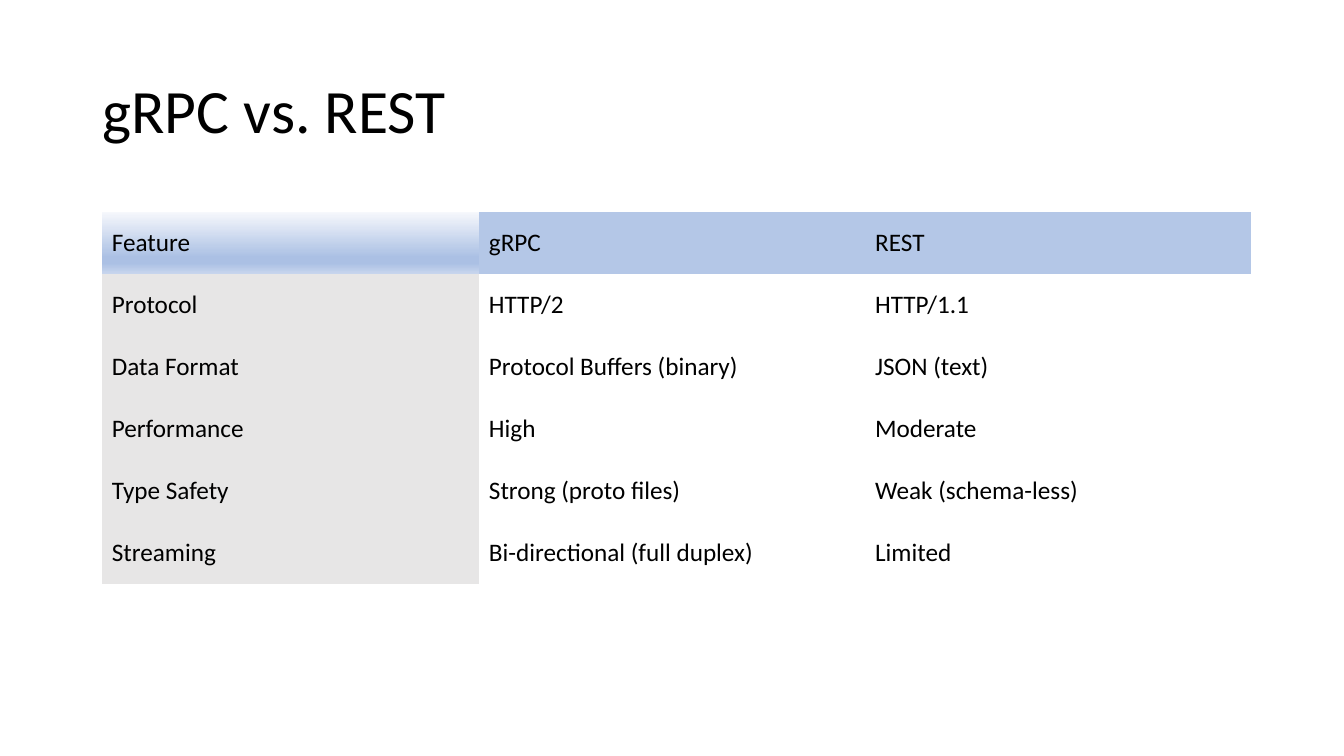
import pptx
import pptx.dml.color
import pptx.enum.text
import pptx.oxml.ns
import pptx.util
from dataclasses import dataclass
from lxml import etree

Inches = pptx.util.Inches
MIDDLE = pptx.enum.text.MSO_ANCHOR.MIDDLE


@dataclass(frozen=True)
class Theme:
    font: str = "Calibri"
    ink: str = "000000"
    head: str = "B4C7E7"
    side: str = "E7E6E6"
    fade: tuple = ((0, "F6F8FC"), (74, "ABC0E4"), (83, "ABC0E4"), (100, "C7D5ED"))
    title: int = 44
    body: int = 18


theme = Theme()


def style(frame, size):
    for par in frame.paragraphs:
        for run in par.runs:
            run.font.name = theme.font
            run.font.size = pptx.util.Pt(size)
            run.font.bold = False
            run.font.color.rgb = pptx.dml.color.RGBColor.from_string(theme.ink)


def add(parent, tag, **attrs):
    return etree.SubElement(parent, pptx.oxml.ns.qn(tag), **attrs)


# Slide
deck = pptx.Presentation()
deck.slide_width = Inches(13.33)
deck.slide_height = Inches(7.5)
slide = deck.slides.add_slide(deck.slide_layouts[6])

# Title
title = slide.shapes.add_textbox(Inches(0.92), Inches(0.4), Inches(11.5), Inches(1.45))
frame = title.text_frame
frame.word_wrap = True
frame.vertical_anchor = MIDDLE
frame.text = "gRPC vs. REST"
frame.paragraphs[0].line_spacing = 0.9
style(frame, theme.title)

# Table without banding or grid
rows = [
    ("Feature", "gRPC", "REST"),
    ("Protocol", "HTTP/2", "HTTP/1.1"),
    ("Data Format", "Protocol Buffers (binary)", "JSON (text)"),
    ("Performance", "High", "Moderate"),
    ("Type Safety", "Strong (proto files)", "Weak (schema-less)"),
    ("Streaming", "Bi-directional (full duplex)", "Limited"),
]
widths = (3.74, 3.83, 3.83)
shape = slide.shapes.add_table(
    len(rows), len(widths), Inches(1.01), Inches(2.1), Inches(sum(widths)), Inches(3.69)
)
table = shape.table
table.first_row = False
table.horz_banding = False
grid = shape.element.find(".//" + pptx.oxml.ns.qn("a:tableStyleId"))
grid.text = "{2D5ABB26-0587-4C30-8999-92F81FD0307C}"
for col, width in zip(table.columns, widths):
    col.width = Inches(width)

# Cells
for r, row in enumerate(rows):
    for c, text in enumerate(row):
        cell = table.cell(r, c)
        cell.text_frame.text = text
        cell.vertical_anchor = MIDDLE
        style(cell.text_frame, theme.body)
        if r and c:
            cell.fill.background()
        elif r or c:
            cell.fill.solid()
            tone = theme.side if r else theme.head
            cell.fill.fore_color.rgb = pptx.dml.color.RGBColor.from_string(tone)

# Gradient in the corner cell
corner = table.cell(0, 0)
fade = add(corner._tc.get_or_add_tcPr(), "a:gradFill", rotWithShape="1")
stops = add(fade, "a:gsLst")
for place, tone in theme.fade:
    stop = add(stops, "a:gs", pos=str(place * 1000))
    add(stop, "a:srgbClr", val=tone)
add(fade, "a:lin", ang="5400000", scaled="0")

deck.save("out.pptx")
